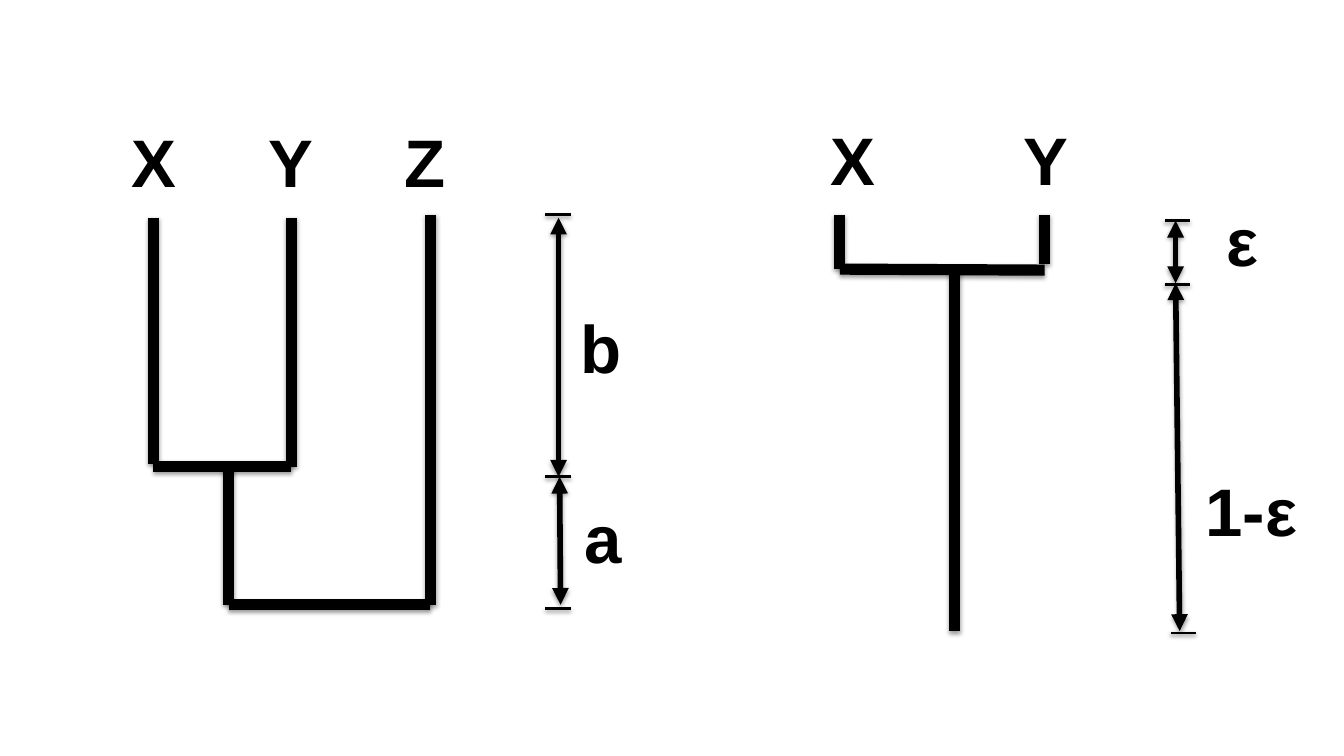
"""Draw two species trees with labelled branch lengths."""
from lxml import etree
from pptx import Presentation
from pptx.dml.color import RGBColor
from pptx.enum.shapes import MSO_CONNECTOR
from pptx.enum.text import MSO_ANCHOR, PP_ALIGN
from pptx.oxml import parse_xml
from pptx.oxml.ns import qn
from pptx.util import Inches, Pt

STRAIGHT = MSO_CONNECTOR.STRAIGHT
CENTER, MIDDLE = PP_ALIGN.CENTER, MSO_ANCHOR.MIDDLE
THEME = {"ink": RGBColor(0, 0, 0), "font": "Arial", "size": 48,
         "branch": 8, "arrow": 4, "tick": 2}
SHADOW = (
    '<a:effectLst xmlns:a="http://schemas.openxmlformats.org/drawingml/2006/main">'
    '<a:outerShdw blurRad="39370" dist="20320" dir="5400000" rotWithShape="0">'
    '<a:srgbClr val="000000"><a:alpha val="38000"/></a:srgbClr>'
    '</a:outerShdw></a:effectLst>')
TICK_W, LABEL_H = 0.25, 0.91

BRANCHES = {
    "three species": [
        (1.52, 2.16, 1.52, 4.6), (2.89, 2.16, 2.89, 4.63),
        (2.89, 4.63, 1.52, 4.63), (2.27, 4.63, 2.27, 6),
        (2.27, 6, 4.27, 6), (4.27, 2.13, 4.27, 6)],
    "two species": [
        (8.33, 2.13, 8.33, 2.67), (10.36, 2.68, 8.33, 2.67),
        (9.47, 2.67, 9.47, 6.26), (10.36, 2.13, 10.36, 2.62)],
}
TICKS = [(5.41, 2.13), (5.41, 4.73), (5.41, 6.04),
         (11.55, 2.19), (11.55, 2.82), (11.61, 6.28)]
ARROWS = [(5.55, 4.73, 5.56, 6), (5.54, 2.16, 5.54, 4.73),
          (11.66, 2.81, 11.7, 6.26), (11.66, 2.19, 11.66, 2.81)]
LABELS = [("X", 1.53, 1.14), ("Y", 2.89, 1.14), ("Z", 4.22, 1.14),
          ("X", 8.46, 1.12), ("Y", 10.37, 1.12),
          ("b", 5.96, 2.98), ("a", 5.98, 4.87),
          ("ε", 12.32, 1.92), ("1-ε", 12.41, 4.6)]


def add_line(s, ends, kind):
    """Add a shadowed line of the given kind, with heads on arrows."""
    c = s.shapes.add_connector(STRAIGHT, *(Inches(v) for v in ends))
    c.line.color.rgb = THEME["ink"]
    c.line.width = Pt(THEME[kind])
    if kind == "arrow":
        ln = c.line._get_or_add_ln()
        for end in ("a:headEnd", "a:tailEnd"):
            etree.SubElement(ln, qn(end), type="triangle")
    c._element.spPr.append(parse_xml(SHADOW))


def add_label(s, text, center, top):
    """Add a bold label centred on a horizontal position."""
    width = 0.3 + 0.4 * len(text)
    box = s.shapes.add_textbox(Inches(center - width / 2), Inches(top),
                               Inches(width), Inches(LABEL_H))
    tf = box.text_frame
    tf.word_wrap = False
    tf.vertical_anchor = MIDDLE
    p = tf.paragraphs[0]
    p.text, p.alignment = text, CENTER
    p.font.name, p.font.size = THEME["font"], Pt(THEME["size"])
    p.font.bold, p.font.color.rgb = True, THEME["ink"]


prs = Presentation()
prs.slide_width, prs.slide_height = Inches(13.33), Inches(7.5)
s = prs.slides.add_slide(prs.slide_layouts[6])

for tree in BRANCHES.values():
    for ends in tree:
        add_line(s, ends, "branch")
for left, y in TICKS:
    add_line(s, (left + TICK_W, y, left, y), "tick")
for ends in ARROWS:
    add_line(s, ends, "arrow")
for label in LABELS:
    add_label(s, *label)

prs.save("out.pptx")
